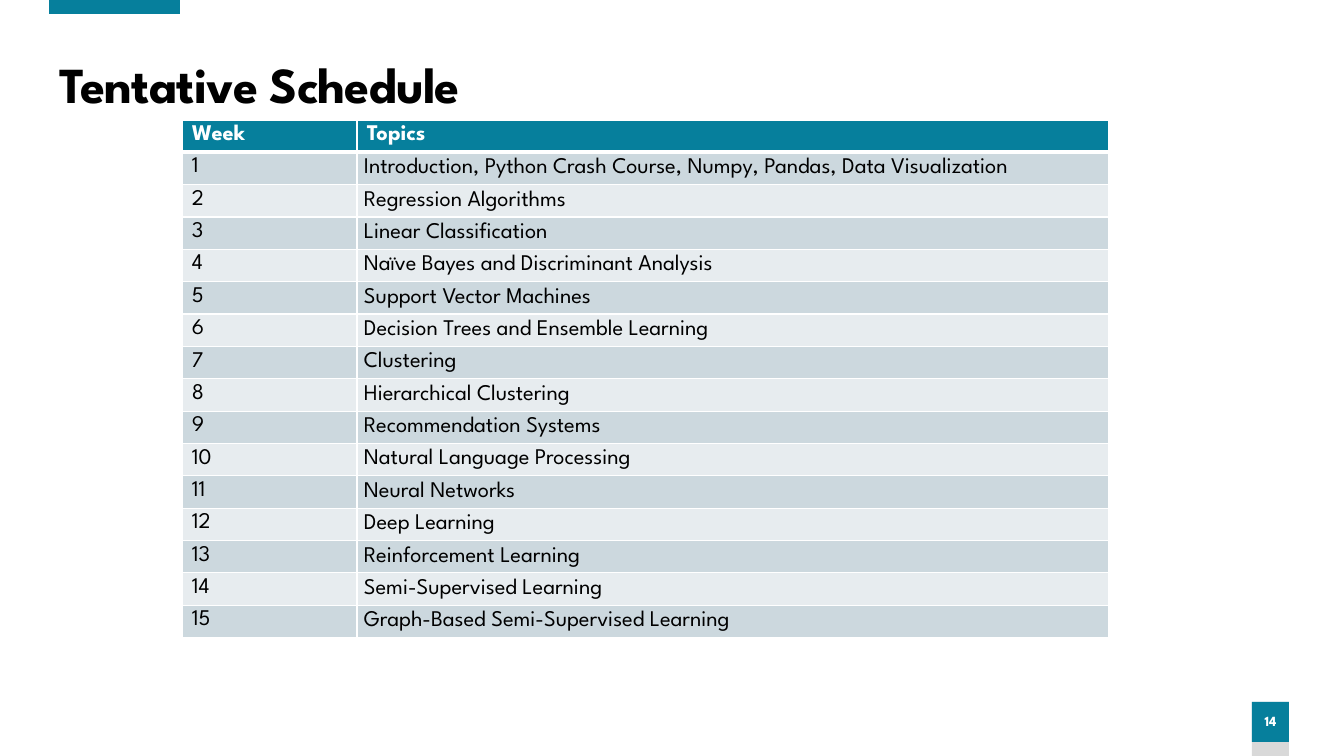
from lxml.etree import SubElement as Sub
from pptx import Presentation
from pptx.dml.color import RGBColor as RGB
from pptx.enum.shapes import MSO_SHAPE as Shape
from pptx.enum.text import MSO_ANCHOR as Anchor, PP_ALIGN as Align
from pptx.oxml.ns import qn
from pptx.util import Pt

# Content
TITLE = "Tentative Schedule"
NUMBER = "14"
HEAD = ("Week", "Topics")
TOPICS = [
    "Introduction, Python Crash Course, Numpy, Pandas, Data Visualization",
    "Regression Algorithms",
    "Linear Classification",
    "Naïve Bayes and Discriminant Analysis",
    "Support Vector Machines",
    "Decision Trees and Ensemble Learning",
    "Clustering",
    "Hierarchical Clustering",
    "Recommendation Systems",
    "Natural Language Processing",
    "Neural Networks",
    "Deep Learning",
    "Reinforcement Learning",
    "Semi-Supervised Learning",
    "Graph-Based Semi-Supervised Learning",
]

# Colours and font
TEAL = RGB(0x06, 0x7F, 0x9C)
GREY = RGB(0xD9, 0xD9, 0xD9)
WHITE = RGB(0xFF, 0xFF, 0xFF)
BLACK = RGB(0, 0, 0)
BANDS = (RGB(0xCC, 0xD8, 0xDE), RGB(0xE7, 0xEC, 0xEF))
FONT = "League Spartan"

# Layout in px
PX = 914400 / 100.8
SIZE = (1344, 756)
BARS = {
    "base": ((1252, 702, 37, 54), GREY),
    "badge": ((1252, 702, 37, 40), TEAL),
    "accent": ((49, 0, 131, 14), TEAL),
}
TITLE_BOX = (50, 54, 1232, 66)
TABLE_BOX = (182, 120, 927, 518)
COLS = (175, 752)
LOOSE = {"margin_left": 10, "margin_right": 10, "margin_top": 5, "margin_bottom": 0}
TIGHT = {"margin_left": 7, "margin_right": 7, "margin_top": 0, "margin_bottom": 0}


def emu(px):
    return round(px * PX)


def place(box):
    return [emu(v) for v in box]


def write(frame, text, size, color, bold, **form):
    para = frame.paragraphs[0]
    for name, value in form.items():
        setattr(para, name, value)
    run = para.add_run()
    run.text = text
    look = {"name": FONT, "size": Pt(size), "bold": bold}
    for name, value in look.items():
        setattr(run.font, name, value)
    run.font.color.rgb = color
    return run


def edge(cell, widths):
    props = cell._tc.get_or_add_tcPr()
    for spot, (side, width) in enumerate(widths.items()):
        line = Sub(props, qn(f"a:ln{side}"), w=str(Pt(width)))
        fill = Sub(line, qn("a:solidFill"))
        Sub(fill, qn("a:srgbClr"), val=str(WHITE))
        props.insert(spot, line)


def add_bars(slide):
    bars = {}
    for name, (box, color) in BARS.items():
        bar = slide.shapes.add_shape(Shape.RECTANGLE, *place(box))
        bar.shadow.inherit = False
        bar.fill.solid()
        bar.fill.fore_color.rgb = color
        bar.line.fill.background()
        bars[name] = bar

    # Page number
    frame = bars["badge"].text_frame
    frame.margin_left = frame.margin_right = 0
    frame.vertical_anchor = Anchor.MIDDLE
    write(frame, NUMBER, 10, WHITE, True, alignment=Align.CENTER,
          line_spacing=0.9, space_before=Pt(10))


def add_title(slide):
    frame = slide.shapes.add_textbox(*place(TITLE_BOX)).text_frame
    frame.word_wrap = True
    frame.vertical_anchor = Anchor.MIDDLE
    run = write(frame, TITLE, 36, BLACK, True, line_spacing=0.9)
    run.font._element.set("spc", "-60")


def add_plan(slide):
    rows = [HEAD] + [(str(week), topic) for week, topic in enumerate(TOPICS, 1)]
    table = slide.shapes.add_table(len(rows), len(HEAD), *place(TABLE_BOX)).table
    for col, width in zip(table.columns, COLS):
        col.width = emu(width)
    for r, row in enumerate(rows):
        table.rows[r].height = emu(TABLE_BOX[3] / len(rows))
        head = r == 0
        for c, text in enumerate(row):
            cell = table.cell(r, c)
            cell.fill.solid()
            cell.fill.fore_color.rgb = TEAL if head else BANDS[(r - 1) % 2]
            topic = c == 1 and not head
            cell.vertical_anchor = Anchor.MIDDLE if topic else Anchor.TOP
            for name, value in (TIGHT if topic else LOOSE).items():
                setattr(cell, name, emu(value))
            write(cell.text_frame, text, 16, WHITE if head else BLACK, head)
            edge(cell, {"L": 1, "R": 1, "T": 3 if r == 1 else 1, "B": 3 if head else 1})


def main():
    deck = Presentation()
    deck.slide_width, deck.slide_height = place(SIZE)
    slide = deck.slides.add_slide(deck.slide_layouts[6])
    add_bars(slide)
    add_title(slide)
    add_plan(slide)
    deck.save("out.pptx")


if __name__ == "__main__":
    main()
